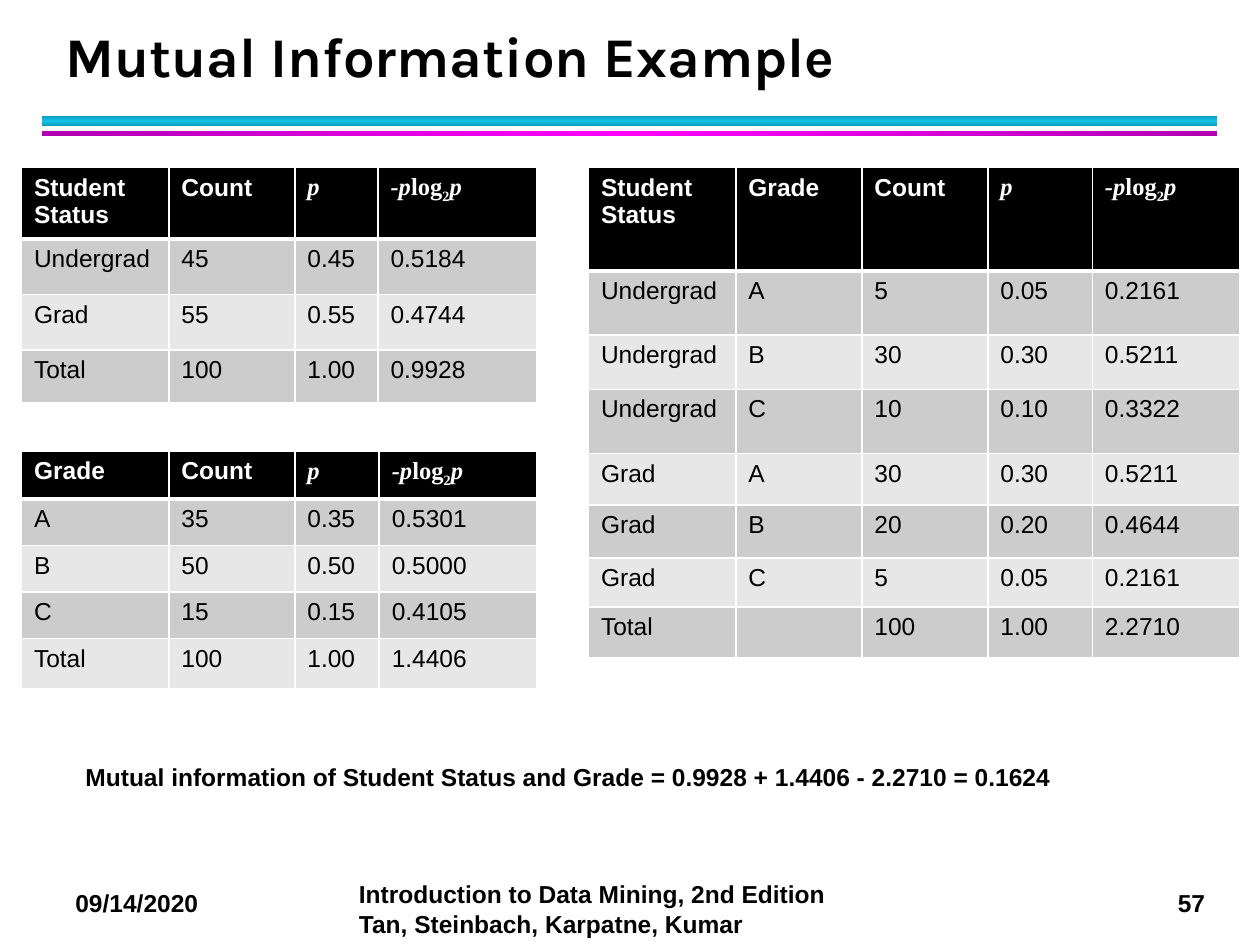
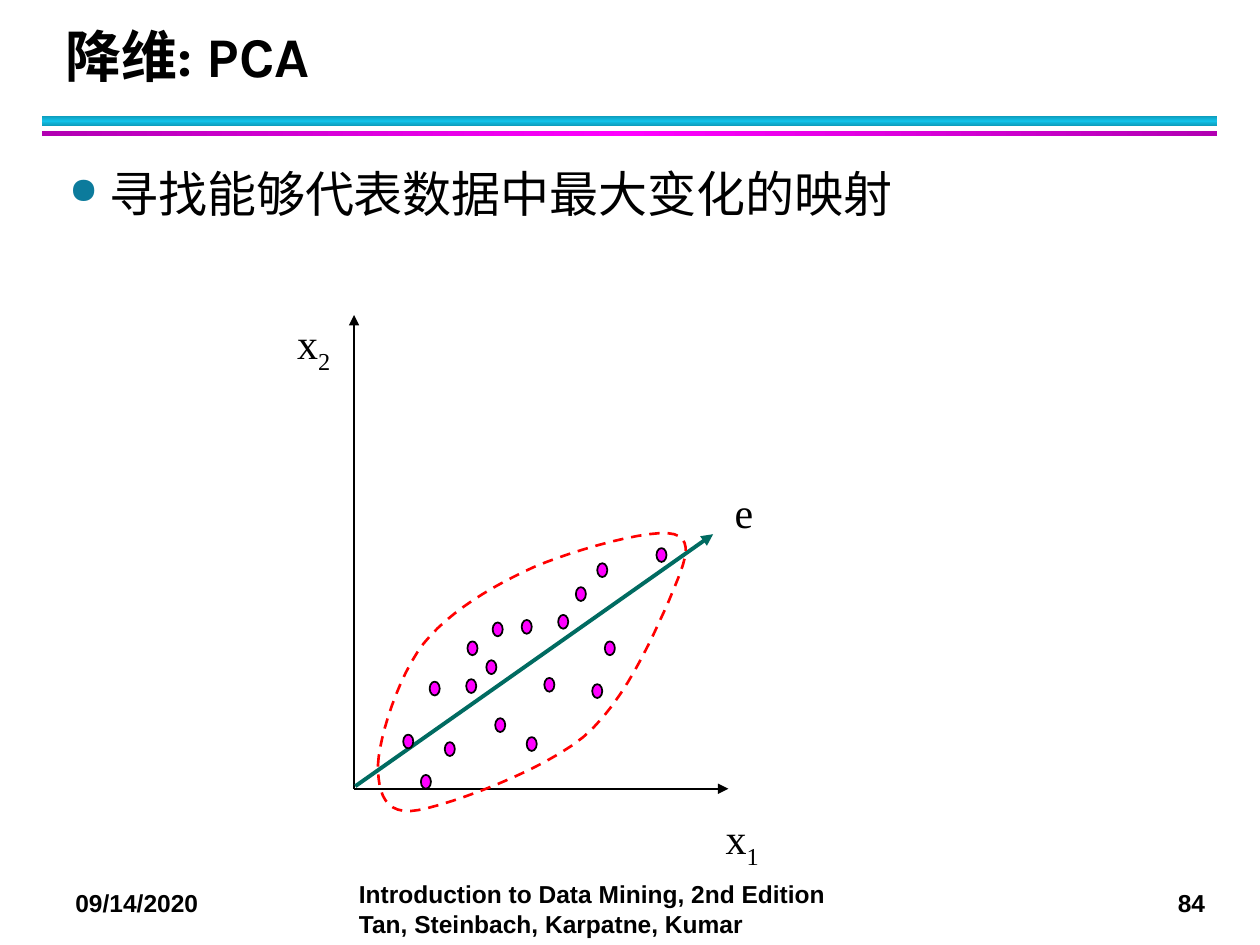
"""Build two data mining slides: a mutual information example and PCA."""
from dataclasses import dataclass

from lxml.etree import SubElement
from pptx import Presentation
from pptx.dml.color import RGBColor
from pptx.enum.dml import MSO_LINE
from pptx.enum.shapes import MSO_CONNECTOR, MSO_SHAPE
from pptx.enum.text import MSO_ANCHOR, PP_ALIGN
from pptx.oxml.ns import qn
from pptx.util import Inches, Pt


@dataclass(frozen=True)
class Theme:
    black: str = "000000"
    white: str = "FFFFFF"
    band_dark: str = "CCCCCC"
    band_light: str = "E7E7E7"
    cyan: tuple = ("0E9BBA", "12C2E9", "0E9BBA")
    magenta: tuple = ("B200B2", "FF00FF", "B200B2")
    bullet: str = "0C7B9C"
    dot: str = "FF00FF"
    direction: str = "006B61"
    outline: str = "FF0000"
    title_font: str = "Karla"
    body_font: str = "Arial"
    math_font: str = "Times New Roman"
    title_size: int = 32
    body_size: int = 28
    label_size: int = 24
    small_size: int = 14


PROBABILITY = [("p", "i")]
ENTROPY = [("-p", "i"), ("log", ""), ("2", "s"), ("p", "i")]

STATUS_ROWS = [
    ["Student Status", "Count", PROBABILITY, ENTROPY],
    ["Undergrad", "45", "0.45", "0.5184"],
    ["Grad", "55", "0.55", "0.4744"],
    ["Total", "100", "1.00", "0.9928"],
]
GRADE_ROWS = [
    ["Grade", "Count", PROBABILITY, ENTROPY],
    ["A", "35", "0.35", "0.5301"],
    ["B", "50", "0.50", "0.5000"],
    ["C", "15", "0.15", "0.4105"],
    ["Total", "100", "1.00", "1.4406"],
]
JOINT_ROWS = [
    ["Student Status", "Grade", "Count", PROBABILITY, ENTROPY],
    ["Undergrad", "A", "5", "0.05", "0.2161"],
    ["Undergrad", "B", "30", "0.30", "0.5211"],
    ["Undergrad", "C", "10", "0.10", "0.3322"],
    ["Grad", "A", "30", "0.30", "0.5211"],
    ["Grad", "B", "20", "0.20", "0.4644"],
    ["Grad", "C", "5", "0.05", "0.2161"],
    ["Total", "", "100", "1.00", "2.2710"],
]

DATA_POINTS = [
    (3.41, 5.41), (3.71, 5.09), (3.2, 5.83), (3.86, 5.24), (3.7, 5.39),
    (4.32, 5.38), (4.18, 5.85), (3.93, 5.7), (4.14, 4.92), (4.8, 5.09),
    (5.21, 4.35), (3.53, 5.89), (4.43, 4.88), (4.74, 4.47), (3.91, 4.94),
    (4.57, 4.66), (4.7, 5.43), (3.34, 6.15),
]
CLUSTER_START = (3, 6.07)
CLUSTER_CURVES = [
    ((3.01, 5.85), (3.16, 5.37), (3.36, 5.11)),
    ((3.57, 4.85), (3.91, 4.65), (4.24, 4.5)),
    ((4.57, 4.36), (5.18, 4.19), (5.35, 4.24)),
    ((5.53, 4.29), (5.41, 4.52), (5.3, 4.79)),
    ((5.18, 5.05), (4.96, 5.57), (4.63, 5.85)),
    ((4.3, 6.12), (3.59, 6.38), (3.32, 6.43)),
    ((3.05, 6.48), (3, 6.29), (3, 6.07)),
]


def rgb(color):
    return RGBColor.from_string(color)


def bezier(start, first, second, end, steps=12):
    for step in range(1, steps + 1):
        t = step / steps
        weights = ((1 - t) ** 3, 3 * t * (1 - t) ** 2, 3 * t * t * (1 - t), t ** 3)
        yield tuple(
            Inches(sum(w * p[axis] for w, p in zip(weights, (start, first, second, end))))
            for axis in (0, 1)
        )


class Deck:
    def __init__(self, theme):
        self.theme = theme
        self.prs = Presentation()
        self.prs.slide_width, self.prs.slide_height = Inches(10), Inches(7.5)
        self.slide = None

    def new_slide(self, title, number):
        theme = self.theme
        self.slide = self.prs.slides.add_slide(self.prs.slide_layouts[6])
        self.bar(0.92, 0.08, theme.cyan, 90)
        self.bar(1.04, 0.04, theme.magenta, 0)
        self.text("09/14/2020", (0.5, 7, 1.33, 0.34), bold=True)
        self.text(number, (9.25, 7, 0.44, 0.34), bold=True, wrap=False)
        self.text("Introduction to Data Mining, 2nd Edition Tan, Steinbach, Karpatne, Kumar",
                  (2.75, 6.93, 4.08, 0.57), bold=True)
        heading = self.text(title, (0.42, 0.17, 9.06, 0.58), theme.title_size,
                            theme.title_font, bold=True, anchor=MSO_ANCHOR.BOTTOM)
        heading.line_spacing = Pt(36)

    def fill_paragraph(self, paragraph, content, size, font, color, bold=False):
        if isinstance(content, str):
            paragraph.text = content
        else:
            for part, mark in content:
                run = paragraph.add_run()
                run.text = part
                run.font.italic = mark == "i"
                if mark == "s":
                    run.font._element.set("baseline", "-25000")
        for run in paragraph.runs:
            run.font.size = Pt(size)
            run.font.name = font
            run.font.bold = bold
            run.font.color.rgb = rgb(color)

    def text(self, content, box, size=None, font=None, bold=False, wrap=True,
             anchor=MSO_ANCHOR.TOP):
        frame = self.slide.shapes.add_textbox(*map(Inches, box)).text_frame
        frame.word_wrap = wrap
        frame.vertical_anchor = anchor
        paragraph = frame.paragraphs[0]
        self.fill_paragraph(paragraph, content, size or self.theme.small_size,
                            font or self.theme.body_font, self.theme.black, bold)
        return paragraph

    def axis_label(self, content, box):
        label = self.text(content, box, self.theme.label_size, self.theme.math_font,
                          wrap=False, anchor=MSO_ANCHOR.MIDDLE)
        label.alignment = PP_ALIGN.CENTER

    def bullet(self, content, box):
        paragraph = self.text(content, box, self.theme.body_size)
        paragraph.space_after = Pt(4)
        properties = paragraph._p.get_or_add_pPr()
        properties.set("marL", str(Inches(0.32)))
        properties.set("indent", str(Inches(-0.32)))
        color = SubElement(properties, qn("a:buClr"))
        SubElement(color, qn("a:srgbClr"), val=self.theme.bullet)
        SubElement(properties, qn("a:buSzPct"), val="75000")
        SubElement(properties, qn("a:buChar"), char="●")

    def bar(self, top, height, colors, angle):
        bar = self.slide.shapes.add_shape(
            MSO_SHAPE.RECTANGLE, Inches(0.33), Inches(top), Inches(9.33), Inches(height))
        bar.shadow.inherit = False
        bar.line.fill.background()
        bar.fill.gradient()
        bar.fill.gradient_angle = angle
        stops = bar._element.spPr.find(".//" + qn("a:gsLst"))
        for stop in list(stops):
            stops.remove(stop)
        for position, color in zip((0, 50000, 100000), colors):
            stop = SubElement(stops, qn("a:gs"), pos=str(position))
            SubElement(stop, qn("a:srgbClr"), val=color)

    def table(self, rows, left, top, widths, heights):
        theme = self.theme
        table = self.slide.shapes.add_table(
            len(rows), len(widths), Inches(left), Inches(top),
            Inches(sum(widths)), Inches(sum(heights))).table
        for column, width in zip(table.columns, widths):
            column.width = Inches(width)
        for r, (values, height) in enumerate(zip(rows, heights)):
            table.rows[r].height = Inches(height)
            header = r == 0
            band = theme.black if header else (theme.band_light, theme.band_dark)[r % 2]
            for c, value in enumerate(values):
                cell = table.cell(r, c)
                font = theme.body_font if isinstance(value, str) else theme.math_font
                self.fill_paragraph(cell.text_frame.paragraphs[0], value, theme.small_size,
                                    font, theme.white if header else theme.black, header)
                self.borders(cell, top=3 if r == 1 else 1, bottom=3 if header else 1)
                cell.fill.solid()
                cell.fill.fore_color.rgb = rgb(band)

    def borders(self, cell, top, bottom):
        properties = cell._tc.get_or_add_tcPr()
        for side, width in (("L", 1), ("R", 1), ("T", top), ("B", bottom)):
            edge = SubElement(properties, qn(f"a:ln{side}"), w=str(Pt(width)))
            fill = SubElement(edge, qn("a:solidFill"))
            SubElement(fill, qn("a:srgbClr"), val=self.theme.white)

    def arrow(self, start, end, color, width=1):
        arrow = self.slide.shapes.add_connector(
            MSO_CONNECTOR.STRAIGHT, *map(Inches, start + end))
        arrow.line.color.rgb = rgb(color)
        arrow.line.width = Pt(width)
        properties = arrow._element.spPr
        SubElement(properties.find(qn("a:ln")), qn("a:tailEnd"), type="triangle")
        SubElement(properties, qn("a:effectLst"))

    def dot(self, left, top):
        dot = self.slide.shapes.add_shape(
            MSO_SHAPE.OVAL, Inches(left), Inches(top), Inches(0.08), Inches(0.11))
        dot.shadow.inherit = False
        dot.fill.solid()
        dot.fill.fore_color.rgb = rgb(self.theme.dot)
        dot.line.color.rgb = rgb(self.theme.black)
        dot.line.width = Pt(1)

    def dashed_outline(self, start, curves):
        builder = self.slide.shapes.build_freeform(*map(Inches, start))
        for curve in curves:
            builder.add_line_segments(list(bezier(start, *curve)), close=False)
            start = curve[-1]
        outline = builder.convert_to_shape()
        outline.shadow.inherit = False
        outline.fill.background()
        outline.line.color.rgb = rgb(self.theme.outline)
        outline.line.width = Pt(1.5)
        outline.line.dash_style = MSO_LINE.DASH


def mutual_information(deck):
    deck.new_slide("Mutual Information Example", "57")
    deck.table(STATUS_ROWS, 0.17, 1.33, [1.17, 1, 0.66, 1.26], [0.44, 0.44, 0.44, 0.42])
    deck.table(GRADE_ROWS, 0.17, 3.58, [1.17, 1, 0.67, 1.25], [0.38, 0.37, 0.37, 0.37, 0.4])
    deck.table(JOINT_ROWS, 4.67, 1.33, [1.17, 1, 1, 0.83, 1.17],
               [0.82, 0.51, 0.43, 0.51, 0.41, 0.42, 0.39, 0.39])
    deck.text("Mutual information of Student Status and Grade = "
              "0.9928 + 1.4406 - 2.2710 = 0.1624", (0.58, 6, 8.75, 0.34), bold=True)


def pca(deck):
    theme = deck.theme
    deck.new_slide("降维: PCA", "84")
    deck.bullet("寻找能够代表数据中最大变化的映射", (0.45, 1.25, 9.1, 5.67))
    origin = (2.81, 6.26)
    deck.arrow(origin, (2.81, 2.5), theme.black)
    deck.arrow(origin, (5.78, 6.26), theme.black)
    deck.arrow((2.82, 6.24), (5.66, 4.24), theme.direction, 2.25)
    deck.dashed_outline(CLUSTER_START, CLUSTER_CURVES)
    for left, top in DATA_POINTS:
        deck.dot(left, top)
    deck.axis_label([("x", ""), ("2", "s")], (2.25, 2.5, 0.48, 0.5))
    deck.axis_label([("x", ""), ("1", "s")], (5.65, 6.43, 0.48, 0.5))
    deck.axis_label("e", (5.73, 3.81, 0.35, 0.5))


def main():
    deck = Deck(Theme())
    mutual_information(deck)
    pca(deck)
    deck.prs.save("out.pptx")


if __name__ == "__main__":
    main()
